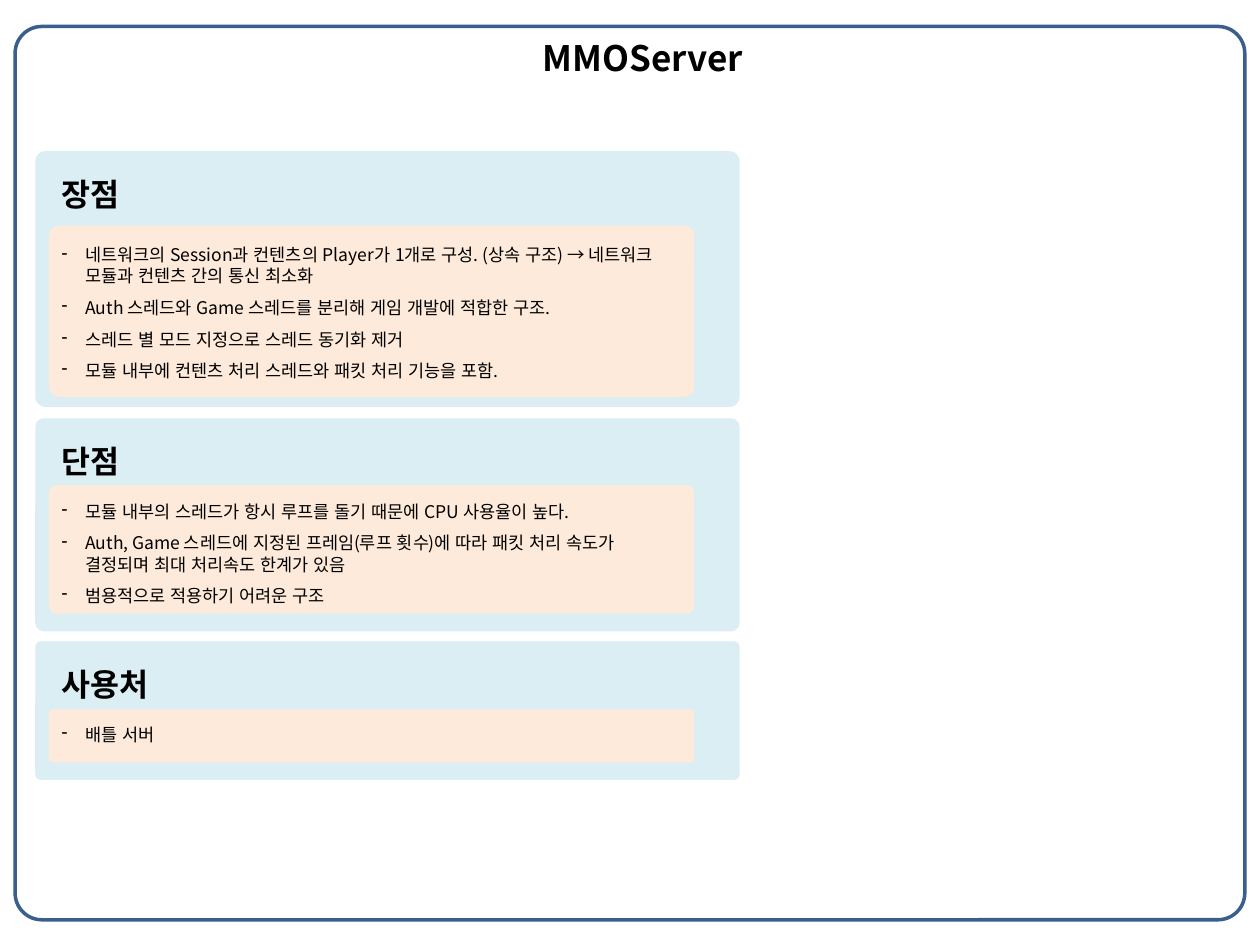
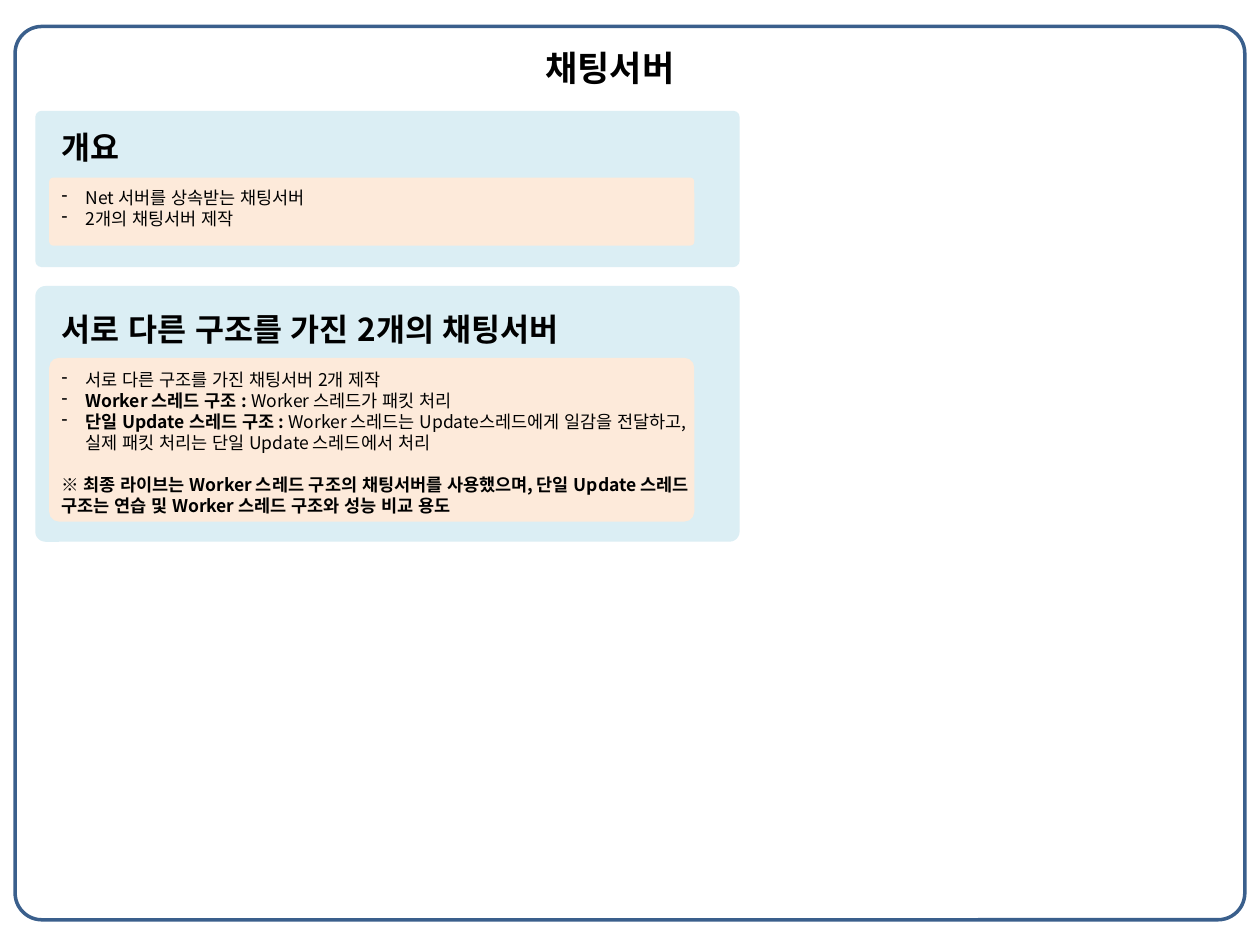
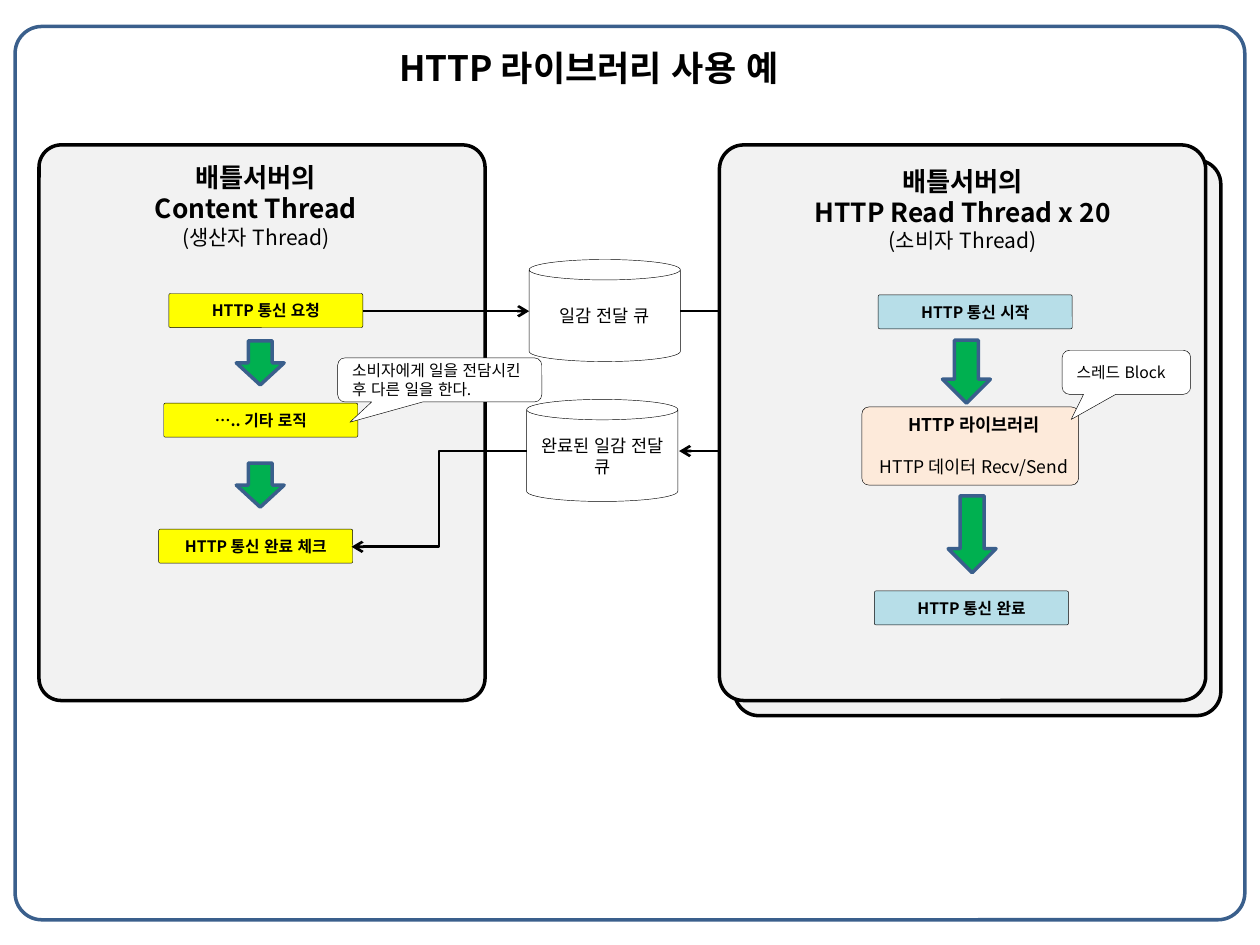
from dataclasses import dataclass

from lxml.etree import SubElement
from pptx import Presentation
from pptx.dml.color import RGBColor
from pptx.enum.lang import MSO_LANGUAGE_ID
from pptx.enum.shapes import MSO_CONNECTOR, MSO_SHAPE
from pptx.enum.text import MSO_ANCHOR, PP_ALIGN
from pptx.oxml.ns import qn
from pptx.util import Inches, Pt

# Shared style
FONT = "Noto Sans CJK KR"
BLACK, WHITE = "000000", "FFFFFF"
NAVY, SKY, PEACH = "3A5F8C", "DBEEF4", "FDEADA"
GRAY, YELLOW, BLUE, GREEN = "F2F2F2", "FFFF00", "B7DEE8", "00B050"
BLANK_LINE = 12  # points, one empty line of body text


@dataclass
class Line:
    text: str
    size: float = 10
    bold: bool = False
    before: float = 0
    bullet: bool = False
    lead: str = ""  # bold words in front of the text


def color(value):
    return RGBColor.from_string(value)


# Text
def format_run(run, size, bold):
    run.font.name = FONT
    run.font.size = Pt(size)
    run.font.bold = bold
    run.font.color.rgb = color(BLACK)
    run.font.language_id = MSO_LANGUAGE_ID.KOREAN
    run.font.fill.solid()
    run.font.color.rgb = color(BLACK)
    properties = run._r.get_or_add_rPr()
    SubElement(properties, qn("a:ea")).set("typeface", FONT)


def add_dash(paragraph):
    properties = paragraph._p.get_or_add_pPr()
    properties.set("marL", str(Inches(0.19)))
    properties.set("indent", str(-Inches(0.19)))
    SubElement(properties, qn("a:buChar")).set("char", "-")


def write(text_frame, lines, align=PP_ALIGN.LEFT):
    for index, line in enumerate(lines):
        paragraph = text_frame.paragraphs[0] if index == 0 else text_frame.add_paragraph()
        paragraph.text = line.lead or line.text
        if line.lead:
            paragraph.add_run().text = line.text
        for number, run in enumerate(paragraph.runs):
            format_run(run, line.size, line.bold or (number == 0 and bool(line.lead)))
        paragraph.alignment = align
        paragraph.space_before = Pt(line.before)
        if line.bullet:
            add_dash(paragraph)


def add_text(slide, box, lines, align=PP_ALIGN.LEFT, wrap=True):
    text_box = slide.shapes.add_textbox(*map(Inches, box))
    text_box.text_frame.word_wrap = wrap
    write(text_box.text_frame, lines, align)


# Shapes
def add_box(slide, kind, box, fill=None, line=None, weight=0.25, adjust=()):
    shape = slide.shapes.add_shape(kind, *map(Inches, box))
    shape.shadow.inherit = False
    for index, value in enumerate(adjust):
        shape.adjustments[index] = value
    if fill:
        shape.fill.solid()
        shape.fill.fore_color.rgb = color(fill)
    else:
        shape.fill.background()
    if line:
        shape.line.color.rgb = color(line)
        shape.line.width = Pt(weight)
    else:
        shape.line.fill.background()
    return shape


def add_label(shape, text, size, bold=False, align=PP_ALIGN.CENTER):
    shape.text_frame.word_wrap = True
    shape.text_frame.vertical_anchor = MSO_ANCHOR.MIDDLE
    write(shape.text_frame, [Line(text, size, bold)], align)


def add_rounded(slide, box, fill=None, line=None, weight=0.25, corner=0.05):
    return add_box(slide, MSO_SHAPE.ROUNDED_RECTANGLE, box, fill, line, weight, [corner])


def add_step(slide, left, top, text, fill):
    add_label(add_rounded(slide, (left, top, 1.54, 0.27), fill, BLACK), text, 9, True)


def add_queue(slide, left, top, text):
    queue = add_box(slide, MSO_SHAPE.CAN, (left, top, 1.2, 0.81), WHITE, BLACK, adjust=[0.2])
    add_label(queue, text, 10)


def add_callout(slide, box, text, pointer):
    callout = add_box(slide, MSO_SHAPE.ROUNDED_RECTANGULAR_CALLOUT, box, WHITE, BLACK,
                      adjust=[*pointer, 0.167])
    add_label(callout, text, 9, align=PP_ALIGN.LEFT)


def add_down_arrow(slide, left, top, length):
    arrow = add_box(slide, MSO_SHAPE.RIGHT_ARROW, (left, top, length, 0.38), GREEN, NAVY, 2)
    arrow.rotation = 90


def add_thread_panel(slide, left, top, width):
    add_rounded(slide, (left, top, width, 4.41), GRAY, BLACK, 2)


def add_arrow(slide, kind, start, end):
    connector = slide.shapes.add_connector(kind, *map(Inches, (*start, *end)))
    connector.line.color.rgb = color(BLACK)
    connector.line.width = Pt(1.5)
    SubElement(connector.line._get_or_add_ln(), qn("a:tailEnd")).set("type", "arrow")
    SubElement(connector._element.spPr, qn("a:effectLst"))


# Slide parts
def add_framed_slide(presentation, title, box):
    slide = presentation.slides.add_slide(presentation.slide_layouts[6])
    add_rounded(slide, (0.12, 0.21, 9.76, 7.09), line=NAVY, weight=2, corner=0.03)
    add_text(slide, box, [Line(title, 20, True)], wrap=False)
    return slide


def add_section(slide, outer, inner, text_top, heading, lines, text_width=5.01):
    """outer and inner are (top, height) of the two nested panels."""
    add_rounded(slide, (0.28, outer[0], 5.59, outer[1]), SKY, corner=0.04)
    add_rounded(slide, (0.39, inner[0], 5.12, inner[1]), PEACH, corner=0.06)
    text_height = inner[0] + inner[1] - text_top
    add_text(slide, (0.39, text_top, text_width, text_height),
             [Line(heading, 18, True), *lines])


def bullets(texts, first=BLANK_LINE, gap=0):
    return [Line(text, before=gap if index else first, bullet=True)
            for index, text in enumerate(texts)]


def build_mmo_server(presentation):
    slide = add_framed_slide(presentation, "MMOServer", (4.21, 0.24, 1.81, 0.44))
    half = BLANK_LINE / 2
    add_section(slide, (1.2, 2.03), (1.79, 1.36), 1.34, "장점", bullets([
        "네트워크의 Session과 컨텐츠의 Player가 1개로 구성. (상속 구조) → "
        "네트워크 모듈과 컨텐츠 간의 통신 최소화",
        "Auth 스레드와 Game 스레드를 분리해 게임 개발에 적합한 구조.",
        "스레드 별 모드 지정으로 스레드 동기화 제거",
        "모듈 내부에 컨텐츠 처리 스레드와 패킷 처리 기능을 포함.",
    ], BLANK_LINE + half, half))
    add_section(slide, (3.32, 1.69), (3.85, 1.02), 3.46, "단점", bullets([
        "모듈 내부의 스레드가 항시 루프를 돌기 때문에 CPU 사용율이 높다.",
        "Auth, Game 스레드에 지정된 프레임(루프 횟수)에 따라 패킷 처리 속도가 "
        "결정되며 최대 처리속도 한계가 있음",
        "범용적으로 적용하기 어려운 구조",
    ], gap=half))
    add_section(slide, (5.09, 1.1), (5.63, 0.42), 5.23, "사용처", bullets(["배틀 서버"]))


def build_chat_server(presentation):
    slide = add_framed_slide(presentation, "채팅서버", (4.23, 0.32, 1.32, 0.44))
    add_section(slide, (0.88, 1.24), (1.41, 0.54), 0.97, "개요", bullets([
        "Net 서버를 상속받는 채팅서버",
        "2개의 채팅서버 제작",
    ]))
    add_section(slide, (2.27, 2.03), (2.84, 1.3), 2.41, "서로 다른 구조를 가진 2개의 채팅서버", [
        *bullets(["서로 다른 구조를 가진 채팅서버 2개 제작"]),
        Line("Worker 스레드가 패킷 처리", bullet=True, lead="Worker 스레드 구조 : "),
        Line("Worker 스레드는 Update스레드에게 일감을 전달하고, "
             "실제 패킷 처리는 단일 Update 스레드에서 처리",
             bullet=True, lead="단일 Update 스레드 구조 : "),
        Line("※ 최종 라이브는 Worker 스레드 구조의 채팅서버를 사용했으며, 단일 Update "
             "스레드 구조는 연습 및 Worker 스레드 구조와 성능 비교 용도",
             bold=True, before=BLANK_LINE),
    ], text_width=5.2)


def build_http_example(presentation):
    slide = add_framed_slide(presentation, "HTTP 라이브러리 사용 예", (3.07, 0.32, 3.46, 0.44))

    # Producer thread and the two queues
    add_thread_panel(slide, 0.31, 1.15, 3.54)
    add_text(slide, (1.03, 1.23, 2, 0.81),
             [Line("배틀서버의 Content Thread", 15, True), Line("(생산자 Thread)", 12)],
             PP_ALIGN.CENTER)
    add_queue(slide, 4.2, 2.06, "일감 전달 큐")
    add_queue(slide, 4.18, 3.17, "완료된 일감 전달 큐")
    for left, top, text in ((1.34, 2.33, "HTTP 통신 요청"), (1.3, 3.2, "….. 기타 로직"),
                            (1.26, 4.2, "HTTP 통신 완료 체크")):
        add_step(slide, left, top, text, YELLOW)
    for top in (2.69, 3.66):
        add_down_arrow(slide, 1.89, top, 0.35)

    # Flow between the threads, partly behind the consumer panels
    for kind, start, end in (
        (MSO_CONNECTOR.STRAIGHT, (2.88, 2.47), (4.2, 2.47)),
        (MSO_CONNECTOR.STRAIGHT, (5.4, 2.47), (6.97, 2.47)),
        (MSO_CONNECTOR.ELBOW, (6.94, 4.83), (5.39, 3.58)),
        (MSO_CONNECTOR.ELBOW, (4.18, 3.58), (2.79, 4.34)),
    ):
        add_arrow(slide, kind, start, end)
    add_callout(slide, (2.68, 2.84, 1.62, 0.35),
                "소비자에게 일을 전담시킨 후 다른 일을 한다.", (-0.44, 0.96))

    # Consumer threads
    for offset in (0.12, 0):
        add_thread_panel(slide, 5.71 + offset, 1.15 + offset, 3.86)
    add_text(slide, (6.26, 1.26, 2.76, 0.81),
             [Line("배틀서버의", 15, True), Line("HTTP Read Thread x 20", 15, True),
              Line("(소비자 Thread)", 12)], PP_ALIGN.CENTER)
    add_rounded(slide, (6.84, 3.23, 1.72, 0.62), PEACH, BLACK, corner=0.09)
    add_text(slide, (6.84, 3.24, 1.78, 0.61),
             [Line("HTTP 라이브러리", bold=True),
              Line("HTTP 데이터 Recv/Send", before=BLANK_LINE)], PP_ALIGN.CENTER, wrap=False)
    add_step(slide, 6.97, 2.34, "HTTP 통신 시작", BLUE)
    add_step(slide, 6.94, 4.69, "HTTP 통신 완료", BLUE)
    add_down_arrow(slide, 7.42, 2.76, 0.5)
    add_down_arrow(slide, 7.41, 4.05, 0.61)
    add_callout(slide, (8.43, 2.78, 1.02, 0.35), "스레드 Block", (-0.43, 1.07))


def main():
    presentation = Presentation()
    presentation.slide_width = Inches(10)
    presentation.slide_height = Inches(7.5)
    build_mmo_server(presentation)
    build_chat_server(presentation)
    build_http_example(presentation)
    presentation.save("out.pptx")


if __name__ == "__main__":
    main()
